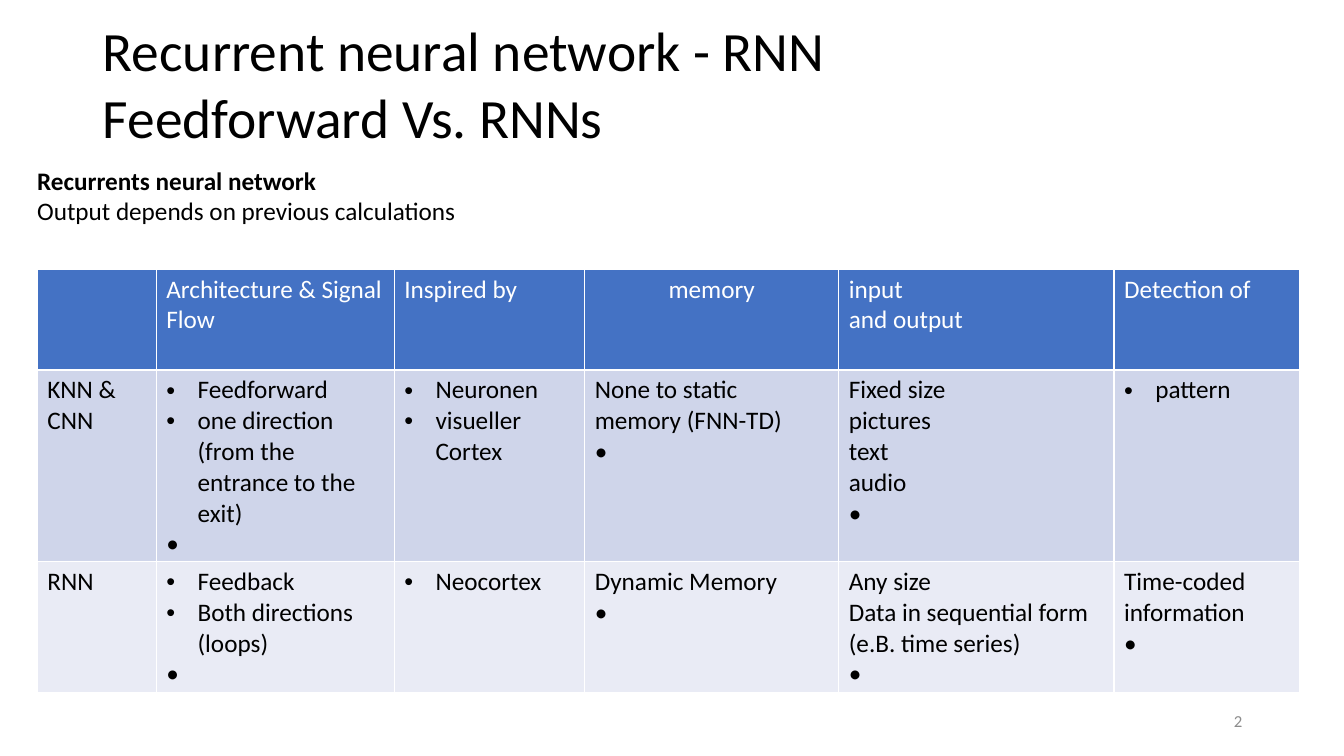
from dataclasses import dataclass

from lxml import etree
from pptx import Presentation
from pptx.dml.color import RGBColor
from pptx.enum.text import MSO_ANCHOR, MSO_AUTO_SIZE, PP_ALIGN
from pptx.oxml.ns import qn
from pptx.util import Inches, Pt

BLACK = RGBColor(0x00, 0x00, 0x00)
WHITE = RGBColor(0xFF, 0xFF, 0xFF)
GRAY = RGBColor(0x8C, 0x8C, 0x8C)
HEADER_BLUE = RGBColor(0x44, 0x72, 0xC4)
BAND_DARK = RGBColor(0xCF, 0xD5, 0xEA)
BAND_LIGHT = RGBColor(0xE9, 0xEB, 0xF5)

LEFT, CENTER, RIGHT = PP_ALIGN.LEFT, PP_ALIGN.CENTER, PP_ALIGN.RIGHT
MIDDLE = MSO_ANCHOR.MIDDLE
NO_AUTOFIT = MSO_AUTO_SIZE.NONE
FONT = "Calibri"
TITLE_ONLY = 5
BULLET_INDENT = Inches(0.31)
BULLET_MARK = "• "  # starts a list item; a lone "•" stays plain text
COLUMN_WIDTHS = (1.18, 2.36, 1.89, 2.52, 2.73, 1.84)
CENTERED_HEADER = "memory"


@dataclass(frozen=True)
class TableRow:
    height: float
    fill: RGBColor
    color: RGBColor
    cells: tuple[tuple[str, ...], ...]  # paragraphs of each cell


ROWS = (
    TableRow(1.0, HEADER_BLUE, WHITE, (
        (),
        ("Architecture & Signal Flow",),
        ("Inspired by",),
        (CENTERED_HEADER,),
        ("input\nand output",),
        ("Detection of",),
    )),
    TableRow(1.9, BAND_DARK, BLACK, (
        ("KNN & CNN",),
        ("• Feedforward", "• one direction (from the entrance to the exit)", "•"),
        ("• Neuronen", "• visueller Cortex"),
        ("None to static memory (FNN-TD)", "•"),
        ("Fixed size\npictures\ntext\naudio", "•"),
        ("• pattern",),
    )),
    TableRow(1.3, BAND_LIGHT, BLACK, (
        ("RNN",),
        ("• Feedback", "• Both directions (loops)", "•"),
        ("• Neocortex",),
        ("Dynamic Memory", "•"),
        ("Any size\nData in sequential form (e.B. time series)", "•"),
        ("Time-coded information", "•"),
    )),
)


def format_runs(paragraph, size: float, color: RGBColor) -> None:
    """Give every run and line break of a paragraph the same font."""
    for run in paragraph.runs:
        run.font.name = FONT
        run.font.size = Pt(size)
        run.font.bold = False
        run.font.color.rgb = color
    for line_break in paragraph._p.findall(qn("a:br")):
        etree.SubElement(line_break, qn("a:rPr"), sz=str(round(size * 100)))


def add_bullet(paragraph) -> None:
    properties = paragraph._p.get_or_add_pPr()
    properties.set("marL", str(BULLET_INDENT))
    properties.set("indent", str(-BULLET_INDENT))
    etree.SubElement(properties, qn("a:buFont"), typeface="Arial")
    etree.SubElement(properties, qn("a:buChar"), char="•")


def set_title(slide) -> None:
    title = slide.shapes.title
    title.left, title.top = Inches(0.92), Inches(0.4)
    title.width, title.height = Inches(11.5), Inches(1.45)
    frame = title.text_frame
    frame.auto_size = NO_AUTOFIT
    frame.vertical_anchor = MIDDLE
    frame.margin_bottom = 0
    paragraph = frame.paragraphs[0]
    paragraph.text = "Recurrent neural network - RNN\nFeedforward Vs. RNNs\n"
    paragraph.alignment = LEFT
    paragraph.line_spacing = 1.0
    format_runs(paragraph, 39.6, BLACK)


def add_text(slide, left: float, top: float, width: float, height: float,
             text: str, size: float, color: RGBColor):
    box = slide.shapes.add_textbox(
        Inches(left), Inches(top), Inches(width), Inches(height))
    box.text_frame.word_wrap = True
    paragraph = box.text_frame.paragraphs[0]
    paragraph.text = text
    format_runs(paragraph, size, color)
    return box.text_frame


def fill_cell(cell, row: TableRow, texts: tuple[str, ...]) -> None:
    cell.fill.solid()
    cell.fill.fore_color.rgb = row.fill
    frame = cell.text_frame
    for index, text in enumerate(texts):
        paragraph = frame.add_paragraph() if index else frame.paragraphs[0]
        paragraph.text = text.removeprefix(BULLET_MARK)
        paragraph.alignment = CENTER if text == CENTERED_HEADER else LEFT
        if text.startswith(BULLET_MARK):
            add_bullet(paragraph)
        format_runs(paragraph, 18, row.color)


def add_comparison_table(slide) -> None:
    table = slide.shapes.add_table(
        len(ROWS), len(COLUMN_WIDTHS), Inches(0.37), Inches(2.67),
        Inches(sum(COLUMN_WIDTHS)), Inches(sum(row.height for row in ROWS))).table
    for column, width in zip(table.columns, COLUMN_WIDTHS):
        column.width = Inches(width)
    for row_index, row in enumerate(ROWS):
        table.rows[row_index].height = Inches(row.height)
        for column_index, texts in enumerate(row.cells):
            fill_cell(table.cell(row_index, column_index), row, texts)


def main() -> None:
    presentation = Presentation()
    presentation.slide_width = Inches(13.33)
    presentation.slide_height = Inches(7.5)
    slide = presentation.slides.add_slide(presentation.slide_layouts[TITLE_ONLY])

    # Title
    set_title(slide)

    # Slide number
    number = add_text(slide, 9.42, 6.95, 3, 0.4, "2", 12, GRAY)
    number.vertical_anchor = MIDDLE
    number.paragraphs[0].alignment = RIGHT

    # Introduction with a bold first line
    introduction = add_text(
        slide, 0.27, 1.59, 12.46, 2.52,
        "Recurrents neural network\nOutput depends on previous calculations",
        18, BLACK)
    introduction.paragraphs[0].runs[0].font.bold = True

    # Comparison of network types
    add_comparison_table(slide)

    presentation.save("out.pptx")


if __name__ == "__main__":
    main()
